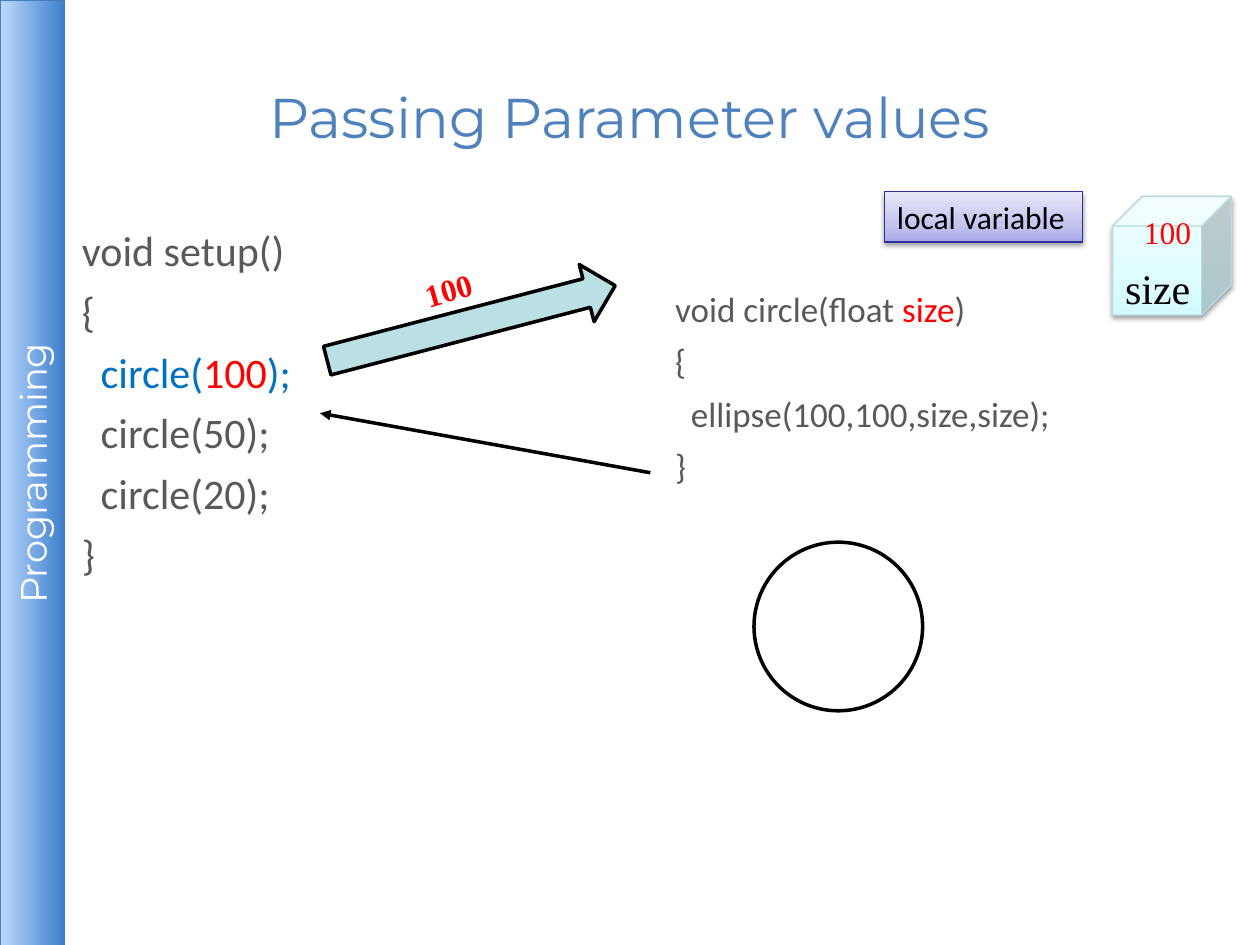
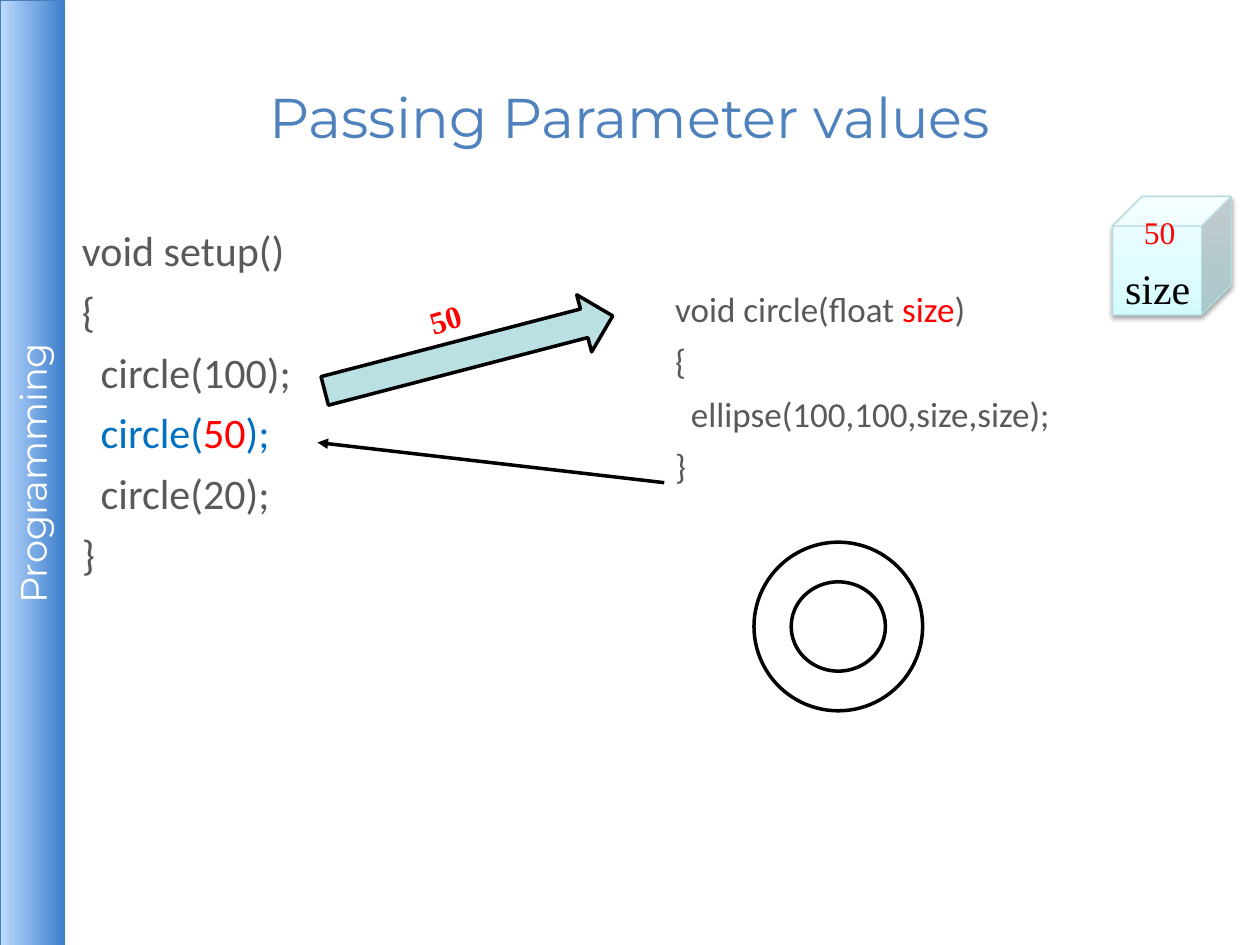
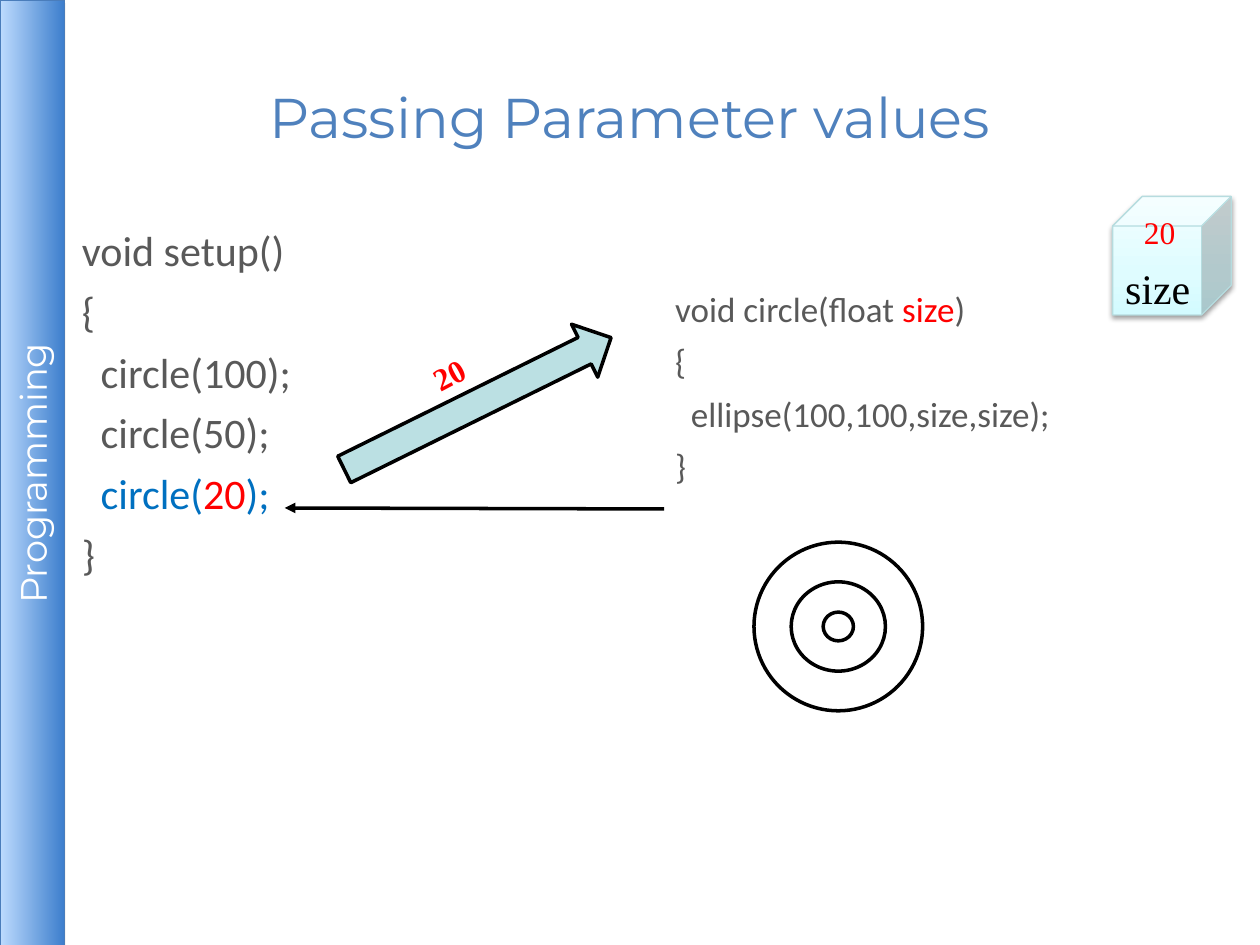
from pptx import Presentation
from pptx.dml.color import RGBColor
from pptx.enum.shapes import MSO_CONNECTOR, MSO_SHAPE
from pptx.enum.text import MSO_ANCHOR, MSO_AUTO_SIZE, PP_ALIGN
from pptx.oxml import parse_xml
from pptx.oxml.ns import nsdecls
from pptx.util import Cm, Pt

# Colours and fonts
TITLE_BLUE = RGBColor(0x4F, 0x81, 0xBD)
CALL_BLUE = RGBColor(0x00, 0x70, 0xC0)
GREY = RGBColor(0x59, 0x59, 0x59)
RED = RGBColor(0xFF, 0x00, 0x00)
BLACK = RGBColor(0x00, 0x00, 0x00)
WHITE = RGBColor(0xFF, 0xFF, 0xFF)
ARROW_FILL = RGBColor(0xBB, 0xE0, 0xE3)
BAND_LINE = RGBColor(0x4A, 0x7D, 0xBB)
CUBE_LINE = RGBColor(0xB6, 0xDC, 0xDF)
LABEL_LINE = RGBColor(0x2F, 0x2F, 0x98)
BAND_STOPS = [(0, "BDDBFE"), (100, "3E7FCD")]
CUBE_STOPS = [(0, "D3FBFF"), (35, "DFFCFF"), (100, "F2FEFF")]
LABEL_STOPS = [(0, "A9A9E9"), (35, "C4C4EF"), (100, "E8E8FA")]
HEADING, CODE, SERIF = "Montserrat", "Calibri", "Times New Roman"

# Content: every slide makes one of the calls. Places are in cm.
TITLE = "Passing Parameter values"
BAND_TEXT = "Programming"
VALUES = ["100", "50", "20"]
FUNCTION = [  # (indent level, spans)
    (0, [("void circle(float ", GREY), ("size", RED), (")", GREY)]),
    (0, [("{", GREY)]),
    (1, [("ellipse(100,100,size,size);", GREY)]),
    (0, [("}", GREY)]),
]
STEPS = [
    {"arrow": (6.5, 5.92), "arrow_turn": 345.4, "tag": (8.31, 5.33), "tag_turn": 343.8,
     "back": ((13.11, 9.53), (6.45, 8.33))},
    {"arrow": (6.45, 6.53), "arrow_turn": 345.4, "tag": (8.41, 5.92), "tag_turn": 343.8,
     "back": ((13.39, 9.73), (6.4, 8.92))},
    {"arrow": (6.63, 7.54), "arrow_turn": 333.7, "tag": (8.48, 7.04), "tag_turn": 332,
     "back": ((13.39, 10.26), (5.74, 10.24))},
]
CIRCLE_CENTRE = (16.9, 12.63)
CIRCLE_SIZES = [(3.4, 3.4), (1.9, 1.8), (0.61, 0.58)]
INSET = 0.1


def format_run(run, font, size, colour, bold=False):
    run.font.name, run.font.size, run.font.bold = font, Pt(size), bold
    run.font.color.rgb = colour


def write_text(shape, text, font, size, colour, bold=False, align=PP_ALIGN.LEFT):
    frame = shape.text_frame
    frame.text = text
    paragraph = frame.paragraphs[0]
    paragraph.alignment = align
    format_run(paragraph.runs[0], font, size, colour, bold)


def set_insets(frame, top=INSET):
    frame.margin_left = frame.margin_right = frame.margin_bottom = Cm(INSET)
    frame.margin_top = Cm(top)


def fit_to_text(shape):
    frame = shape.text_frame
    frame.word_wrap = False
    frame.auto_size = MSO_AUTO_SIZE.SHAPE_TO_FIT_TEXT
    frame.vertical_anchor = MSO_ANCHOR.TOP


def add_box(page, left, top, width, height):
    return page.shapes.add_textbox(Cm(left), Cm(top), Cm(width), Cm(height))


def add_shape(page, kind, place, line_colour, line_width, fill=None):
    shape = page.shapes.add_shape(kind, *[Cm(length) for length in place])
    shape.shadow.inherit = False
    shape.line.color.rgb = line_colour
    shape.line.width = Pt(line_width)
    if fill is not None:
        shape.fill.solid()
        shape.fill.fore_color.rgb = fill
    return shape


def add_shaded(page, kind, place, line_colour, stops, angle, alpha, blur, distance):
    """Shape with a gradient fill and a shadow straight below it."""
    shape = add_shape(page, kind, place, line_colour, 0.75)
    shape.fill.background()
    properties = shape.fill._xPr
    stop_xml = "".join(f'<a:gs pos="{pos * 1000}"><a:srgbClr val="{colour}"/></a:gs>'
                       for pos, colour in stops)
    gradient = parse_xml(f'<a:gradFill {nsdecls("a")} rotWithShape="1"><a:gsLst>{stop_xml}'
                         f'</a:gsLst><a:lin ang="{angle * 60000}" scaled="0"/></a:gradFill>')
    properties.replace(properties.find("{*}noFill"), gradient)
    shadow = parse_xml(
        f'<a:effectLst {nsdecls("a")}><a:outerShdw blurRad="{Pt(blur)}" dist="{Pt(distance)}" '
        f'dir="5400000" rotWithShape="0"><a:srgbClr val="000000"><a:alpha val="{alpha * 1000}"/>'
        '</a:srgbClr></a:outerShdw></a:effectLst>')
    properties.replace(properties.find("{*}effectLst"), shadow)
    return shape


def add_code(page, place, lines, size, top_inset=INSET):
    frame = add_box(page, *place).text_frame
    frame.word_wrap = True
    set_insets(frame, top_inset)
    for number, (level, spans) in enumerate(lines):
        paragraph = frame.paragraphs[0] if number == 0 else frame.add_paragraph()
        paragraph.space_before = Pt(6)
        # One level is as wide as two spaces of the code font
        paragraph._p.get_or_add_pPr().set("marL", str(Pt(0.45 * size * level)))
        for text, colour in spans:
            span = paragraph.add_run()
            span.text = text
            format_run(span, CODE, size, colour)


def setup_lines(active):
    calls = [(1, [("circle(", CALL_BLUE), (value, RED), (");", CALL_BLUE)]
              if value == active else [(f"circle({value});", GREY)]) for value in VALUES]
    return [(0, [("void setup()", GREY)]), (0, [("{", GREY)]), *calls, (0, [("}", GREY)])]


def add_value(page, value, left, top, bold=False, turn=0):
    box = add_box(page, left, top, 0.48 + 0.33 * len(value), 1.02)
    fit_to_text(box)
    write_text(box, value, SERIF, 18, RED, bold)
    box.rotation = turn


def add_frame(page):
    """Side band and title, the same on all slides."""
    band = add_shaded(page, MSO_SHAPE.RECTANGLE, (0, 0, 1.3, 19.08), BAND_LINE,
                      BAND_STOPS, 0, 35, 0, 1.8)
    set_insets(band.text_frame)
    band.text_frame.vertical_anchor = MSO_ANCHOR.MIDDLE
    band.text_frame._txBody.bodyPr.set("vert", "vert270")
    write_text(band, BAND_TEXT, HEADING, 21, WHITE, align=PP_ALIGN.CENTER)
    title = add_box(page, 1.27, 0.76, 22.86, 3.18)
    title.text_frame.word_wrap = True
    set_insets(title.text_frame)
    title.text_frame.vertical_anchor = MSO_ANCHOR.MIDDLE
    write_text(title, TITLE, HEADING, 32, TITLE_BLUE, align=PP_ALIGN.CENTER)


def add_variable(page, value):
    """Cube that holds the value of the local variable."""
    add_shaded(page, MSO_SHAPE.CUBE, (22.43, 3.96, 2.39, 2.39), CUBE_LINE,
               CUBE_STOPS, 270, 38, 3.1, 1.6)
    name = add_box(page, 22.43, 5.16, 1.83, 1.27)
    fit_to_text(name)
    write_text(name, "size", SERIF, 24, BLACK)
    add_value(page, value, 22.81, 4.17)


def add_return_arrow(page, start, end):
    line = page.shapes.add_connector(MSO_CONNECTOR.STRAIGHT,
                                     *[Cm(length) for length in (*start, *end)])
    line.line.color.rgb = BLACK
    line.line.width = Pt(2)
    line.line._get_or_add_ln().append(parse_xml(f'<a:tailEnd {nsdecls("a")} type="triangle"/>'))
    line._element.spPr.append(parse_xml(f'<a:effectLst {nsdecls("a")}/>'))


deck = Presentation()
deck.slide_width, deck.slide_height = Cm(25.4), Cm(19.05)

for index, (value, step) in enumerate(zip(VALUES, STEPS)):
    page = deck.slides.add_slide(deck.slide_layouts[6])
    add_frame(page)
    add_code(page, (1.55, 4.42, 22.58, 13.31), setup_lines(value), 24)
    add_code(page, (13.51, 4.45, 11.89, 12.57), FUNCTION, 20, top_inset=1.34)
    add_variable(page, value)

    # The first slide explains the cube
    if index == 0:
        label = add_shaded(page, MSO_SHAPE.RECTANGLE, (17.83, 3.86, 3.99, 1.02), LABEL_LINE,
                           LABEL_STOPS, 270, 38, 3.1, 1.6)
        fit_to_text(label)
        write_text(label, "local variable", CODE, 18, BLACK)

    # Circles drawn so far, around one centre
    for width, height in CIRCLE_SIZES[:index + 1]:
        place = (CIRCLE_CENTRE[0] - width / 2, CIRCLE_CENTRE[1] - height / 2, width, height)
        add_shape(page, MSO_SHAPE.OVAL, place, BLACK, 2, WHITE)

    # Value passed to the function, and the way back
    arrow = add_shape(page, MSO_SHAPE.RIGHT_ARROW, (*step["arrow"], 6, 1.19),
                      BLACK, 2, ARROW_FILL)
    arrow.rotation = step["arrow_turn"]
    add_value(page, value, *step["tag"], bold=True, turn=step["tag_turn"])
    add_return_arrow(page, *step["back"])

deck.save("out.pptx")
